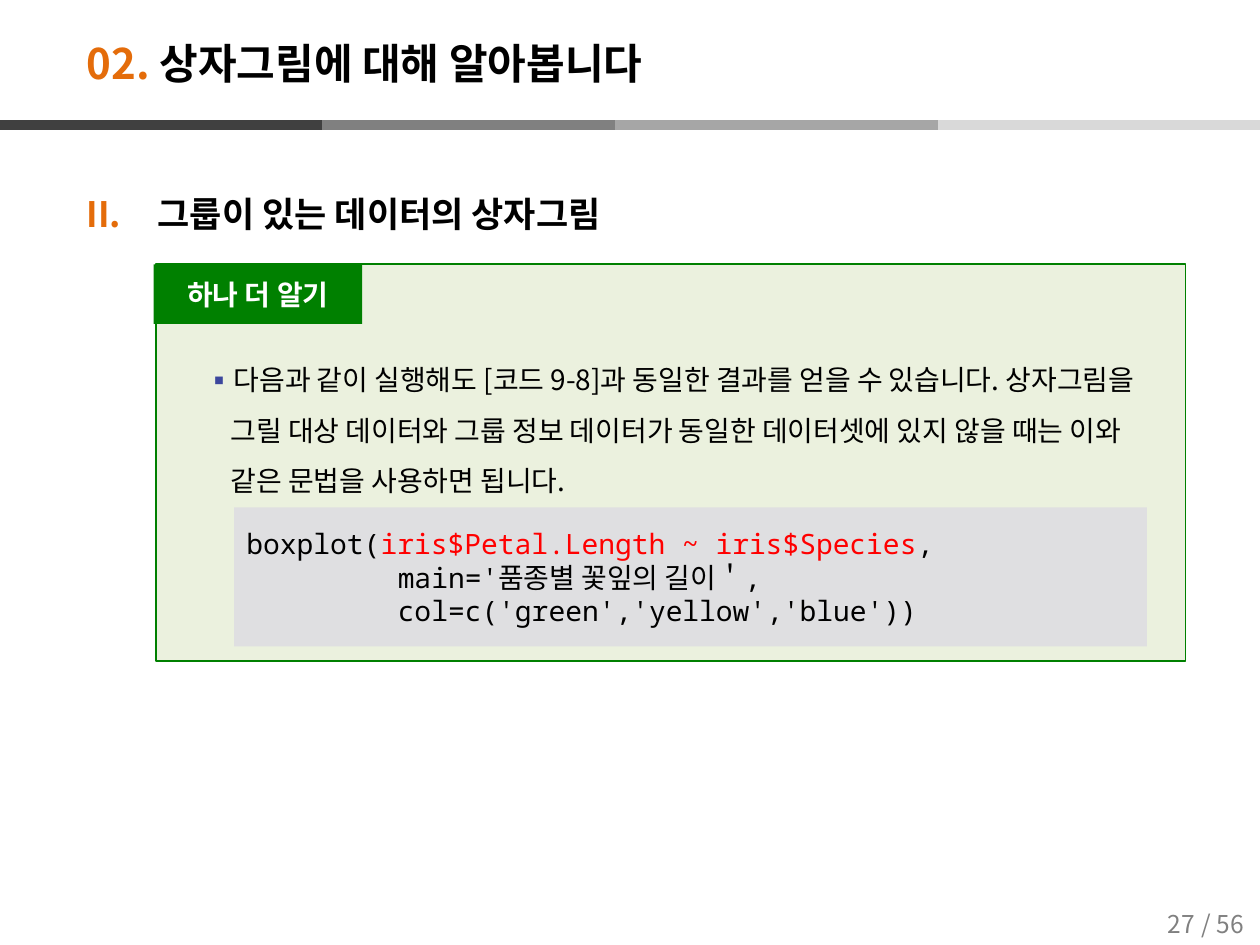
import pptx
import pptx.util
import pptx.dml.color
import pptx.enum.shapes
import pptx.enum.text
import pptx.oxml.ns
from dataclasses import dataclass
from lxml import etree

Cm, Pt = pptx.util.Cm, pptx.util.Pt
ALIGN = pptx.enum.text.PP_ALIGN
ANCHOR = pptx.enum.text.MSO_ANCHOR


@dataclass(frozen=True)
class Theme:
    sans: str = "Noto Sans CJK KR"
    head: str = "Arial"
    mono: str = "Noto Sans Mono"
    ink: str = "000000"
    white: str = "FFFFFF"
    accent: str = "E46C0A"
    gray: str = "808080"
    green: str = "008000"
    pale: str = "EBF1DE"
    code: str = "DFDFE1"
    mark: str = "3C479D"
    red: str = "FF0000"
    bars: tuple = ("404040", "808080", "A6A6A6", "D9D9D9")
    title: int = 24
    topic: int = 20
    text: int = 16
    page: int = 14


T = Theme()


def color(code):
    return pptx.dml.color.RGBColor.from_string(code)


def add(node, tag, **attrs):
    return etree.SubElement(node, pptx.oxml.ns.qn(tag), attrs)


def style(font, size, name, bold):
    font.size, font.name, font.bold = Pt(size), name, bold
    add(font._rPr, "a:ea", typeface=T.sans)


def write(para, runs, size, name=T.sans, bold=False, align=ALIGN.LEFT):
    para.alignment = align
    for text, tint in runs:
        run = para.add_run()
        run.text = text
        run.font.color.rgb = color(tint)
        style(run.font, size, name, bold)
    style(para.font, size, name, bold)


def indent(para, left, first=0):
    props = para._p.get_or_add_pPr()
    props.set("marL", str(Cm(left)))
    props.set("indent", str(Cm(first)))
    return props


def bullet(para, left, first, tint, tag, **attrs):
    props = indent(para, left, first)
    add(add(props, "a:buClr"), "a:srgbClr", val=tint)
    add(props, "a:buFont", typeface=T.sans)
    add(props, tag, **attrs)


def label(slide, x, y, w, h, anchor=ANCHOR.MIDDLE):
    frame = slide.shapes.add_textbox(Cm(x), Cm(y), Cm(w), Cm(h)).text_frame
    frame.word_wrap = True
    frame.vertical_anchor = anchor
    return frame.paragraphs[0]


def block(slide, x, y, w, h, fill, line=None):
    kind = pptx.enum.shapes.MSO_SHAPE.RECTANGLE
    shape = slide.shapes.add_shape(kind, Cm(x), Cm(y), Cm(w), Cm(h))
    shape.shadow.inherit = False
    shape.fill.solid()
    shape.fill.fore_color.rgb = color(fill)
    if line:
        shape.line.color.rgb = color(line)
        shape.line.width = Pt(1)
    else:
        shape.line.fill.background()
    frame = shape.text_frame
    frame.word_wrap = True
    frame.vertical_anchor = ANCHOR.MIDDLE
    return frame


def header(slide, x, y, w, h):
    para = label(slide, x + 1.5, y + 0.5, 22.2, 1.52)
    write(para, [("02. ", T.accent), ("상자그림에 대해 알아봅니다", T.ink)], T.title, bold=True)
    span = 6.5
    kind = pptx.enum.shapes.MSO_CONNECTOR.STRAIGHT
    for i, tint in reversed(list(enumerate(T.bars))):
        left = x + max(0, w - span * (len(T.bars) - i))
        bar = slide.shapes.add_connector(kind, Cm(left), Cm(y + h), Cm(left + span), Cm(y + h))
        bar.line.color.rgb = color(tint)
        bar.line.width = Pt(6)
        add(bar._element.spPr, "a:effectLst")


def topic(slide, x, y, w, h):
    para = label(slide, x, y, w, h, ANCHOR.TOP)
    bullet(para, 1.43, -1.43, T.accent, "a:buAutoNum", type="romanUcPeriod", startAt="2")
    para.line_spacing = 1.5
    write(para, [("그룹이 있는 데이터의 상자그림", T.ink)], T.topic, T.head, True)


def code(slide, x, y, w, h):
    frame = block(slide, x, y, w, h, T.code)
    lines = (
        (0, [("boxplot(", T.ink), ("iris$Petal.Length ~ iris$Species", T.red), (",", T.ink)]),
        (3.05, [("main='품종별 꽃잎의 길이＇,", T.ink)]),
        (3.05, [("col=c('green','yellow','blue'))", T.ink)]),
    )
    for i, (left, runs) in enumerate(lines):
        para = frame.add_paragraph() if i else frame.paragraphs[0]
        indent(para, left)
        write(para, runs, T.text, T.mono)


def panel(slide, x, y, w, h):
    block(slide, x, y, w, h, T.pale, T.green)
    para = label(slide, x, y + 1.52, w - 0.58, 4.85, ANCHOR.TOP)
    bullet(para, 1.25, -0.5, T.mark, "a:buChar", char="▪")
    para.line_spacing = 1.5
    para.space_before = para.space_after = Pt(3)
    note = (
        "다음과 같이 실행해도 [코드 9-8]과 동일한 결과를 얻을 수 있습니다. "
        "상자그림을 그릴 대상 데이터와 그룹 정보 데이터가 동일한 데이터셋에 있지 "
        "않을 때는 이와 같은 문법을 사용하면 됩니다."
    )
    write(para, [(note, T.ink)], T.text)
    tab = block(slide, x - 0.05, y, 4.2, 1.2, T.green).paragraphs[0]
    write(tab, [("하나 더 알기", T.white)], T.text, bold=True, align=ALIGN.CENTER)
    code(slide, x + 1.57, y + 4.9, 18.4, 2.8)


def footer(slide, x, y, w, h):
    for left, text in ((x + 0.84, "/ 56"), (x, "27")):
        para = label(slide, left, y, w, h)
        write(para, [(text, T.gray)], T.page, align=ALIGN.CENTER)


def main():
    deck = pptx.Presentation()
    deck.slide_width, deck.slide_height = Cm(25.4), Cm(19.05)
    slide = deck.slides.add_slide(deck.slide_layouts[6])
    header(slide, 0, 0, 25.4, 2.52)
    topic(slide, 1.5, 3.33, 22.4, 15.2)
    panel(slide, 3.15, 5.33, 20.75, 8)
    footer(slide, 22.91, 18.13, 1.8, 1)
    deck.save("out.pptx")


if __name__ == "__main__":
    main()
